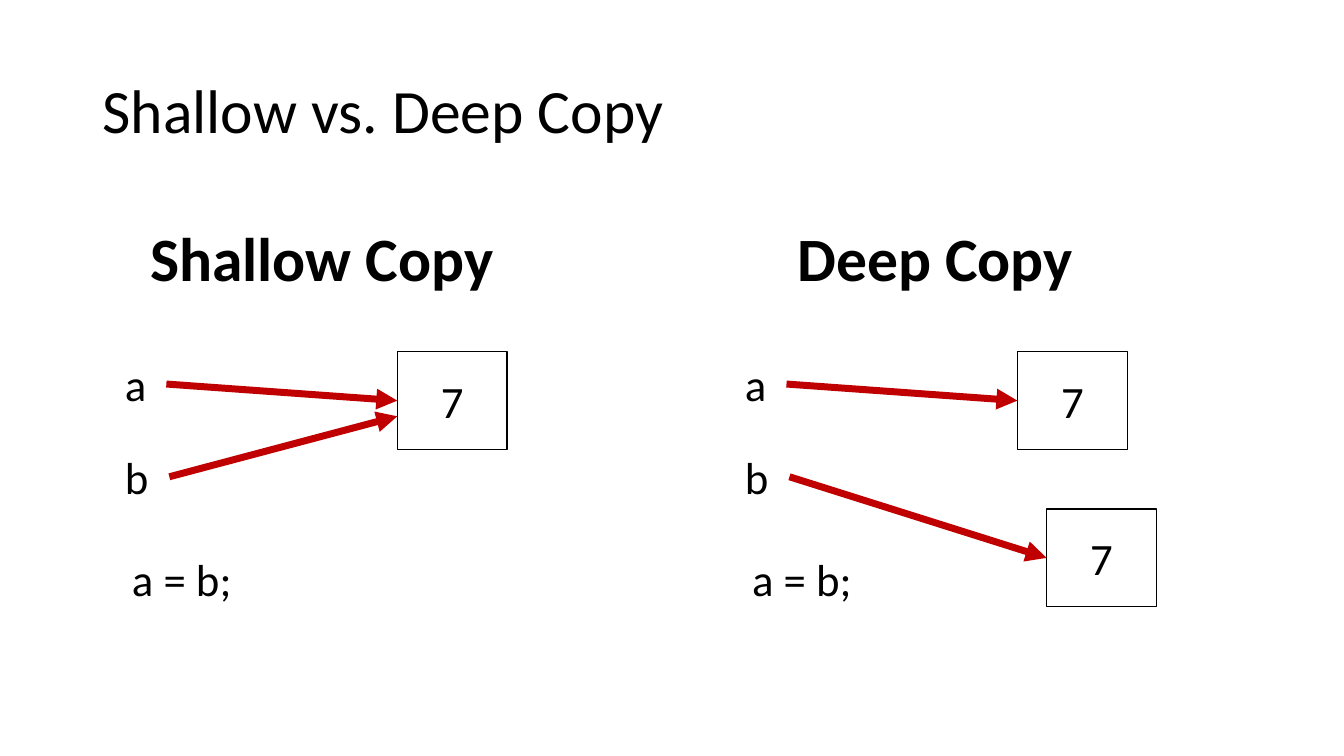
from lxml.etree import SubElement
from pptx import Presentation
from pptx.dml.color import RGBColor
from pptx.enum.shapes import MSO_CONNECTOR, MSO_SHAPE
from pptx.enum.text import MSO_ANCHOR, PP_ALIGN
from pptx.oxml.ns import qn
from pptx.util import Inches, Pt

WIDE, HIGH = Inches(13.33), Inches(7.5)
INK = {"text": "000000", "fill": "FFFFFF", "arrow": "C00000"}
FONT = "Calibri"
BIG, BODY = 44, 32
SHIFT = 46.14
BOX_W, BOX_H = 8.18, 12.93
TOP, LEFT = 46.53, 29.56


def tint(name):
    """Return a named colour."""
    return RGBColor.from_string(INK[name])


def across(share):
    """Turn a percentage of the slide's width into a length."""
    return round(WIDE * share / 100)


def down(share):
    """Turn a percentage of the slide's height into a length."""
    return round(HIGH * share / 100)


def area(x, y, w, h):
    """Turn four percentages into a place and size."""
    return across(x), down(y), across(w), down(h)


def write(shape, text, size=BODY, bold=False):
    """Put one styled paragraph in a shape."""
    line = shape.text_frame.paragraphs[0]
    line.text = text
    font = line.font
    font.name, font.size, font.bold = FONT, Pt(size), bold
    font.color.rgb = tint("text")
    return line


def label(slide, text, x, y, w, h=8.53, **style):
    """Add unwrapped text."""
    shape = slide.shapes.add_textbox(*area(x, y, w, h))
    shape.text_frame.word_wrap = False
    write(shape, text, **style)


def title(slide, text):
    """Add the slide's title."""
    shape = slide.shapes.add_textbox(*area(6.9, 5.33, 86.27, 19.33))
    shape.text_frame.word_wrap = True
    shape.text_frame.vertical_anchor = MSO_ANCHOR.MIDDLE
    write(shape, text, BIG).line_spacing = 0.9


def box(slide, text, x, y):
    """Add a memory cell that holds a value."""
    shape = slide.shapes.add_shape(MSO_SHAPE.RECTANGLE, *area(x, y, BOX_W, BOX_H))
    shape.shadow.inherit = False
    shape.fill.solid()
    shape.fill.fore_color.rgb = tint("fill")
    shape.line.color.rgb = tint("text")
    shape.line.width = Pt(1)
    shape.text_frame.vertical_anchor = MSO_ANCHOR.MIDDLE
    write(shape, text).alignment = PP_ALIGN.CENTER


def arrow(slide, x, y, to_x, to_y):
    """Add an arrow from a variable to its cell."""
    line = slide.shapes.add_connector(
        MSO_CONNECTOR.STRAIGHT, across(x), down(y), across(to_x), down(to_y))
    line.line.color.rgb = tint("arrow")
    line.line.width = Pt(5)
    SubElement(line.line._get_or_add_ln(), qn("a:tailEnd"), type="triangle")
    SubElement(line._element.spPr, qn("a:effectLst"))


def panel(slide, x, name, name_x, name_w, cells, goal):
    """Add one kind of copy: heading, variables, arrows and cells."""
    label(slide, name, x + name_x, 28.4, name_w, 11.2, size=BIG, bold=True)
    label(slide, "a ", x + 8.55, TOP, 4)
    label(slide, "b ", x + 8.55, 58.8, 4)
    label(slide, "a = b;", x + 9.08, 72.27, 9)
    for left, top in cells:
        box(slide, "7", x + left, top)
    arrow(slide, x + 12.38, 50.8, x + LEFT, TOP + BOX_H / 2)
    arrow(slide, x + 12.6, 63.07, x + goal[0], goal[1])


def main():
    """Build and save the slide."""
    deck = Presentation()
    deck.slide_width, deck.slide_height = WIDE, HIGH
    slide = deck.slides.add_slide(deck.slide_layouts[6])
    title(slide, "Shallow vs. Deep Copy")
    first, second = (LEFT, TOP), (31.73, 67.33)
    panel(slide, 0, "Shallow Copy", 10.43, 27.31, [first], (LEFT, 55.07))
    panel(slide, SHIFT, "Deep Copy", 12.45, 22.2, [first, second],
          (second[0], second[1] + BOX_H / 2))
    deck.save("out.pptx")


main()
